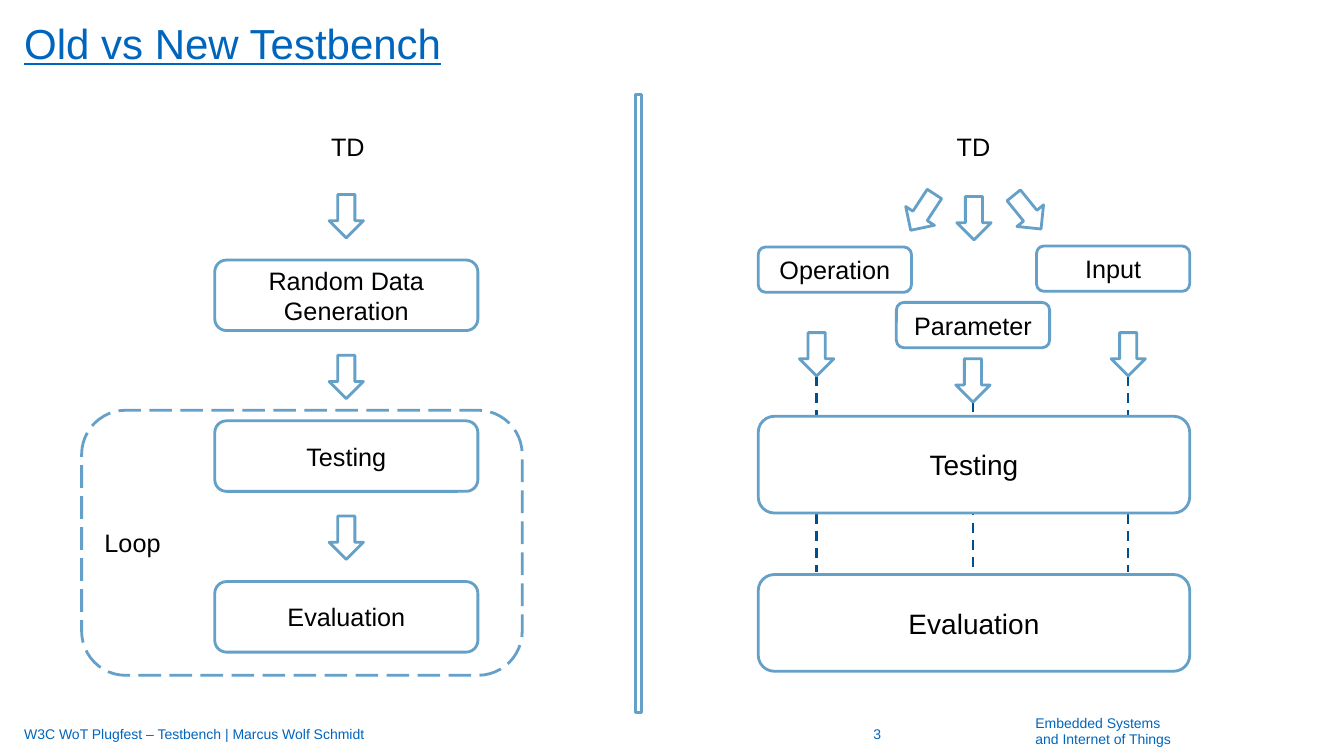
from lxml import etree
from pptx import Presentation
from pptx import util as u
from pptx.dml.color import RGBColor
from pptx.enum import dml, shapes, text
from pptx.oxml.ns import qn

BLUE, SKY, NAVY, BLACK, WHITE = "0065BD", "64A0C8", "005090", "000000", "FFFFFF"
ARROW_W, ARROW_H = 0.34, 0.43
LEFT, CENTER = text.PP_ALIGN.LEFT, text.PP_ALIGN.CENTER
TOP, MIDDLE = text.MSO_ANCHOR.TOP, text.MSO_ANCHOR.MIDDLE


def rgb(value):
    return RGBColor.from_string(value)


def inches(*values):
    return [u.Inches(v) for v in values]


def write(tf, lines, size, color=BLACK, align=CENTER, anchor=MIDDLE,
          margins=(0.1, 0.05), spacing=None, underline=None):
    tf.word_wrap = True
    tf.auto_size = text.MSO_AUTO_SIZE.NONE
    tf.vertical_anchor = anchor
    tf.margin_left = tf.margin_right = u.Inches(margins[0])
    tf.margin_top = tf.margin_bottom = u.Inches(margins[1])
    for i, line in enumerate(lines):
        p = tf.paragraphs[0] if i == 0 else tf.add_paragraph()
        p.alignment = align
        if spacing:
            p.line_spacing = spacing
        r = p.add_run()
        r.text = line
        r.font.name, r.font.size = "Arial", u.Pt(size)
        r.font.color.rgb = rgb(color)
        r.font.underline = underline


def add_label(s, at, lines, size, **style):
    sp = s.shapes.add_textbox(*inches(*at))
    write(sp.text_frame, lines, size, **style)


def add_outline(s, kind, at):
    sp = s.shapes.add_shape(kind, *inches(*at))
    sp.shadow.inherit = False
    sp.fill.solid()
    sp.fill.fore_color.rgb = rgb(WHITE)
    sp.line.color.rgb = rgb(SKY)
    sp.line.width = u.Pt(2)
    return sp


def add_step(s, at, lines, size=18, align=CENTER):
    sp = add_outline(s, shapes.MSO_SHAPE.ROUNDED_RECTANGLE, at)
    write(sp.text_frame, lines, size, align=align)
    return sp


def add_arrow(s, center_x, top, rotation=0):
    sp = add_outline(s, shapes.MSO_SHAPE.DOWN_ARROW,
                     (center_x - ARROW_W / 2, top, ARROW_W, ARROW_H))
    sp.rotation = rotation


def add_dashed_line(s, x, top, bottom):
    line = s.shapes.add_connector(shapes.MSO_CONNECTOR.STRAIGHT,
                                  *inches(x, top, x, bottom))
    line.line.color.rgb = rgb(NAVY)
    line.line.width = u.Pt(1.75)
    line.line.dash_style = dml.MSO_LINE.DASH
    etree.SubElement(line._element.spPr, qn("a:effectLst"))


def add_td(s, center_x, top):
    add_label(s, (center_x - 0.29, top, 0.58, 0.4), ["TD"], 18, align=LEFT)


def title(s, left, top, width, height):
    sp = s.shapes.title
    sp.left, sp.top, sp.width, sp.height = inches(left, top, width, height)
    write(sp.text_frame, ["Old vs New Testbench"], 30, color=BLUE, align=LEFT,
          anchor=TOP, margins=(0, 0), spacing=u.Pt(32), underline=True)


def old_testbench(s, left, top, width, height):
    """Three chained steps, the last two inside a dashed loop."""
    step_w, step_h, pitch = 2.61, 0.7, 1.595
    step_x = left + 1.32
    center_x = step_x + step_w / 2
    loop_top = top + 2.82
    loop = add_step(s, (left, loop_top, width, top + height - loop_top),
                    ["Loop"], align=LEFT)
    loop.line.dash_style = dml.MSO_LINE.LONG_DASH
    add_td(s, center_x + 0.04, top)
    steps = [["Random Data", "Generation"], ["Testing"], ["Evaluation"]]
    for i, lines in enumerate(steps):
        add_arrow(s, center_x, top + 0.68 + i * pitch)
        add_step(s, (step_x, top + 1.33 + i * pitch, step_w, step_h), lines)


def new_testbench(s, left, top, width, height):
    """Three parallel inputs that run through testing and evaluation."""
    input_w, input_h, stage_h = 1.52, 0.45, 0.96
    center_x = left + width / 2
    inputs = [
        # name, box x, box y, lane x, lane arrow y, fan x, fan y, fan angle
        ("Operation", 0, 1.2, -1.56, 2.05, -0.51, 0.64, 33.2),
        ("Parameter", 1.37, 1.75, -0.01, 2.31, 0, 0.7, 0),
        ("Input", width - input_w, 1.19, 1.53, 2.05, 0.53, 0.64, 320.9),
    ]
    add_td(s, center_x + 0.02, top)
    for name, x, y, lane_x, lane_y, fan_x, fan_y, angle in inputs:
        add_dashed_line(s, center_x + lane_x, top + lane_y + ARROW_H, top + 4.42)
        add_arrow(s, center_x + lane_x, top + lane_y)
        add_arrow(s, center_x + fan_x, top + fan_y, angle)
        add_step(s, (left + x, top + y, input_w, input_h), [name])
    for name, y in (("Testing", 2.88), ("Evaluation", height - stage_h)):
        add_step(s, (left, top + y, width, stage_h), [name], size=20)


def footer(s, left, top, width, height):
    style = dict(color=BLUE, margins=(0, 0.05))
    add_label(s, (left, top, 7.62, height),
              ["W3C WoT Plugfest – Testbench | Marcus Wolf Schmidt"], 10,
              align=LEFT, **style)
    add_label(s, (left + 7.84, top, 1.24, height), ["3"], 10, **style)
    add_label(s, (left + width - 2.16, top + 0.02, 2.16, 0.32),
              ["Embedded Systems", "and Internet of Things"], 10, color=BLUE,
              align=LEFT, anchor=TOP, margins=(0, 0), spacing=0.94)


def main():
    prs = Presentation()
    prs.slide_width, prs.slide_height = inches(13.33, 7.5)
    s = prs.slides.add_slide(prs.slide_layouts[5])
    title(s, 0.24, 0.23, 12.41, 0.45)
    old_testbench(s, 0.81, 1.25, 4.37, 5.45)
    new_testbench(s, 7.52, 1.25, 4.28, 5.41)
    add_outline(s, shapes.MSO_SHAPE.RECTANGLE, (6.3, 0.94, 0.06, 6.13))
    footer(s, 0.24, 7.08, 12.19, 0.4)
    prs.save("out.pptx")


if __name__ == "__main__":
    main()
